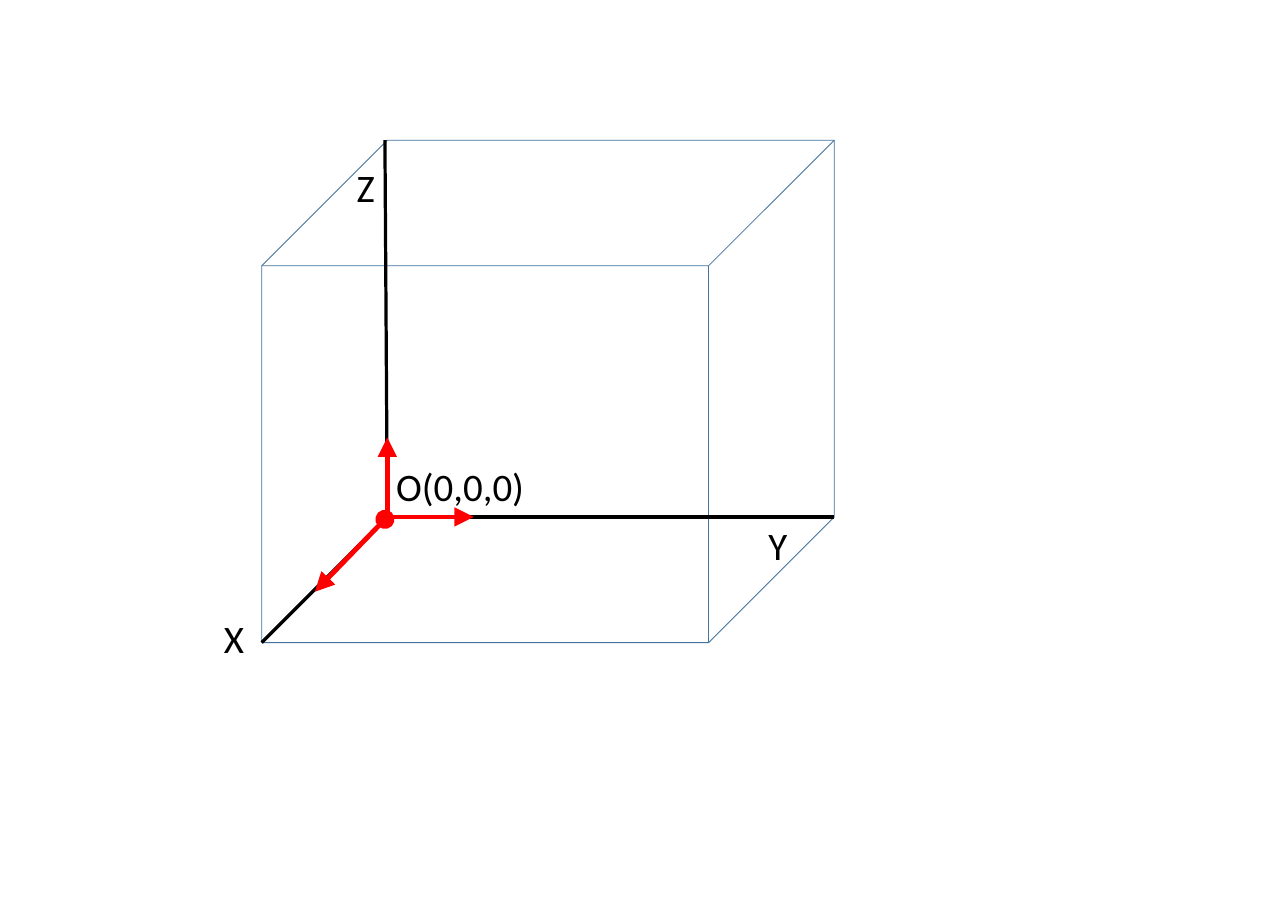
import pptx
import pptx.dml.color
import pptx.enum.shapes
import pptx.enum.text
import pptx.oxml.ns
import pptx.util
from lxml import etree
from pptx.util import Inches

BLACK, RED, BLUE = "000000", "FF0000", "43739E"


def rgb(value):
    return pptx.dml.color.RGBColor.from_string(value)


def add_line(slide, start, end, color, width, heads=None):
    """Draw a line; heads maps headEnd (start) or tailEnd (end) to an arrowhead type."""
    line = slide.shapes.add_connector(
        pptx.enum.shapes.MSO_CONNECTOR.STRAIGHT,
        *(Inches(value) for value in (*start, *end)))
    line.line.color.rgb = rgb(color)
    line.line.width = pptx.util.Pt(width)
    outline = line.line._get_or_add_ln()
    for end_tag, kind in (heads or {}).items():
        etree.SubElement(outline, pptx.oxml.ns.qn(f"a:{end_tag}"), type=kind)
    etree.SubElement(line._element.spPr, pptx.oxml.ns.qn("a:effectLst"))


def add_label(slide, text, left, top, width, height=0.3):
    label = slide.shapes.add_textbox(*map(Inches, (left, top, width, height)))
    frame = label.text_frame
    frame.word_wrap = False
    frame.auto_size = pptx.enum.text.MSO_AUTO_SIZE.SHAPE_TO_FIT_TEXT
    frame.text = text
    font = frame.paragraphs[0].runs[0].font
    for name, value in {"name": "Calibri", "size": pptx.util.Pt(12)}.items():
        setattr(font, name, value)
    font.color.rgb = rgb(BLACK)


def add_coordinate_cube(slide, left, top, width, height):
    cube = slide.shapes.add_shape(
        pptx.enum.shapes.MSO_SHAPE.CUBE,
        *map(Inches, (left, top, width, height)))
    cube.shadow.inherit = False
    cube.fill.background()
    cube.line.color.rgb = rgb(BLUE)
    cube.line.width = pptx.util.Pt(0.25)

    depth = min(width, height) * cube.adjustments[0]
    right, bottom = left + width, top + height
    origin_x, origin_y = left + depth, bottom - depth
    origin = (origin_x, origin_y)

    for axis_end in ((right, origin_y), (origin_x - 0.01, top), (left, bottom)):
        add_line(slide, origin, axis_end, BLACK, 1)

    for text, x, y in (("Y", right - 0.38, origin_y - 0.03),
                       ("X", left - 0.26, bottom - 0.17),
                       ("Z", origin_x - 0.23, top + 0.05)):
        add_label(slide, text, x, y, 0.29)

    dot = (origin_x - 0.01, origin_y + 0.01)
    arrow = {"tailEnd": "triangle"}
    for start, dx, dy, heads in (
            (origin, 0.37, 0, arrow),
            (origin, 0, -0.34, arrow),
            (dot, -0.3, 0.31, {"headEnd": "oval", **arrow})):
        add_line(slide, start, (start[0] + dx, start[1] + dy), RED, 1.5, heads)

    add_label(slide, "O(0,0,0)", origin_x - 0.06, origin_y - 0.28, 0.76)


def main():
    presentation = pptx.Presentation()
    presentation.slide_width = pptx.util.Cm(14)
    presentation.slide_height = pptx.util.Cm(10)
    slide = presentation.slides.add_slide(presentation.slide_layouts[6])
    add_coordinate_cube(slide, 1.12, 0.6, 2.45, 2.15)
    presentation.save("out.pptx")


if __name__ == "__main__":
    main()
